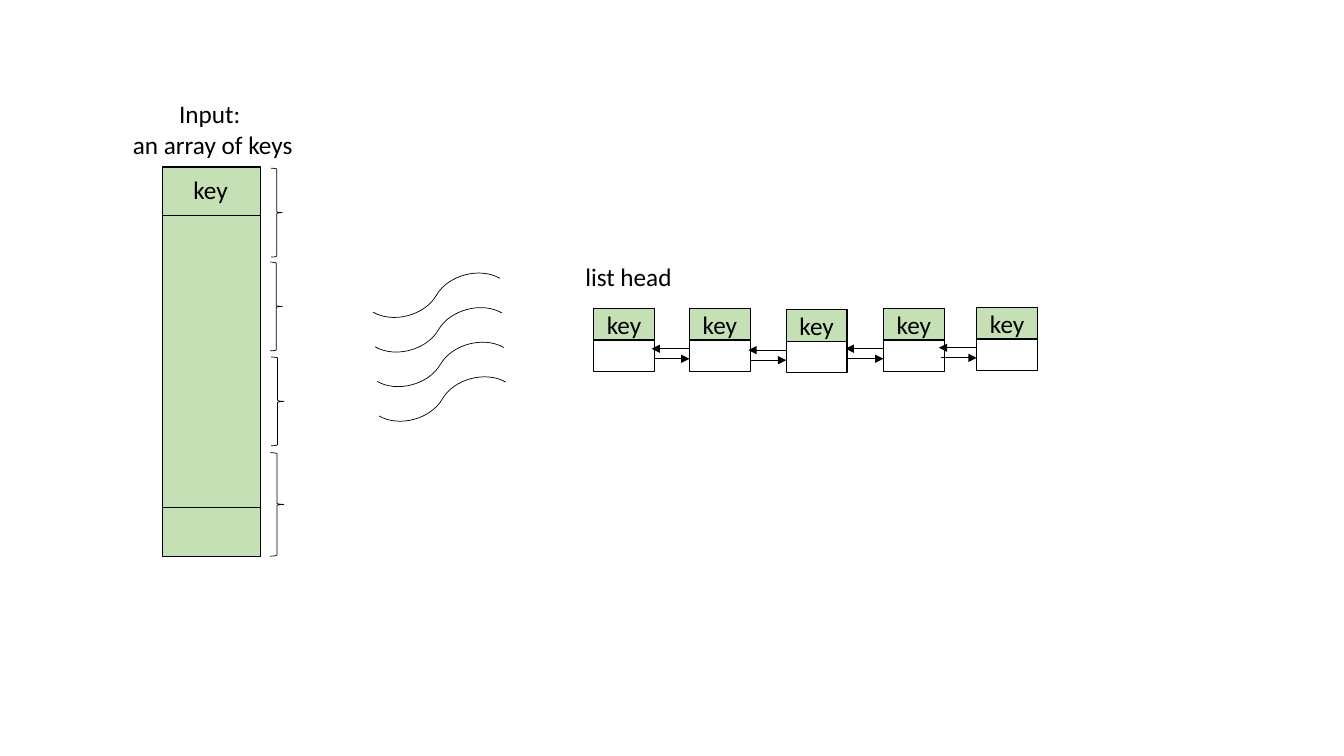
from lxml import etree
from pptx import Presentation
from pptx import util as u
from pptx.dml import color
from pptx.enum import shapes, text
from pptx.oxml import ns

Pt = u.Pt
Kind = shapes.MSO_SHAPE
Link = shapes.MSO_CONNECTOR
Align = text.PP_ALIGN


def rgb(code):
    return color.RGBColor.from_string(code)


class Board:
    font = "Calibri"
    size = 18
    ink = "000000"
    green = "C5E0B4"
    white = "FFFFFF"
    thin = 0.5
    thick = 1

    def __init__(self, slide):
        self.slide = slide

    def put(self, frame, lines, align):
        for i, line in enumerate(lines):
            para = frame.paragraphs[0] if i == 0 else frame.add_paragraph()
            para.alignment = align
            run = para.add_run()
            run.text = line
            run.font.name = self.font
            run.font.size = Pt(self.size)
            run.font.color.rgb = rgb(self.ink)

    def label(self, x, y, w, h, lines, align=Align.LEFT):
        box = self.slide.shapes.add_textbox(Pt(x), Pt(y), Pt(w), Pt(h))
        frame = box.text_frame
        frame.word_wrap = False
        frame.auto_size = text.MSO_AUTO_SIZE.SHAPE_TO_FIT_TEXT
        self.put(frame, lines, align)

    def shape(self, kind, x, y, w, h, fill=None, width=thick, lines=(), turn=0):
        item = self.slide.shapes.add_shape(kind, Pt(x), Pt(y), Pt(w), Pt(h))
        item.shadow.inherit = False
        item.rotation = turn
        if fill:
            item.fill.solid()
            item.fill.fore_color.rgb = rgb(fill)
        else:
            item.fill.background()
        item.line.color.rgb = rgb(self.ink)
        item.line.width = Pt(width)
        item.text_frame.vertical_anchor = text.MSO_ANCHOR.MIDDLE
        self.put(item.text_frame, lines, Align.CENTER)

    def link(self, kind, x1, y1, x2, y2):
        line = self.slide.shapes.add_connector(kind, Pt(x1), Pt(y1), Pt(x2), Pt(y2))
        line.line.color.rgb = rgb(self.ink)
        line.line.width = Pt(self.thin)
        etree.SubElement(line._element.spPr, ns.qn("a:effectLst"))
        return line

    def arrow(self, x1, x2, y):
        line = self.link(Link.STRAIGHT, x1, y, x2, y)
        edge = line._element.spPr.find(ns.qn("a:ln"))
        etree.SubElement(edge, ns.qn("a:tailEnd")).set("type", "triangle")

    def wave(self, x, y, side, turn):
        line = self.link(Link.CURVE, x + side, y, x, y + side)
        frame = line._element.spPr.find(ns.qn("a:xfrm"))
        frame.set("rot", str(turn * 60000))

    def node(self, x, y, w=43.5, h=22.5):
        self.shape(Kind.RECTANGLE, x, y, w, h, self.green, lines=["key"])
        self.shape(Kind.RECTANGLE, x, y + h, w, h, self.white)

    def brace(self, x, y, w, h):
        self.shape(Kind.RIGHT_BRACE, x, y, w, h, width=self.thin)


def main():
    deck = Presentation()
    deck.slide_width, deck.slide_height = Pt(960), Pt(540)
    board = Board(deck.slides.add_slide(deck.slide_layouts[6]))

    board.shape(Kind.FLOWCHART_PREDEFINED_PROCESS, 12.2, 223.3, 278, 70,
                board.green, turn=270)
    board.label(131, 121, 39.6, 29, ["key"])
    board.label(87.1, 67, 129.6, 51, ["Input: ", "an array of keys"], Align.CENTER)

    for i in range(4):
        board.wave(278.6 + 1.4 * i, 177.8 + 24.7 * i, 66.2, 210)

    nodes = [(424, 220.3), (492.5, 220.3), (561.6, 221.3), (631, 220.3), (697.6, 219.6)]
    for i, (x, y) in enumerate(nodes):
        if i:
            board.arrow(x - 25.5, x, y + 36)
            board.arrow(x, x - 27, y + 28.8)
        board.node(x, y)
    board.label(411, 183, 77, 29, ["list head"])

    for x, y, w, h in [(193.7, 120.2, 8, 63.4), (193, 187.2, 8.6, 63.4),
                       (193.7, 255, 9.2, 63.4), (193, 323.3, 9.6, 74)]:
        board.brace(x, y, w, h)

    deck.save("out.pptx")


if __name__ == "__main__":
    main()
